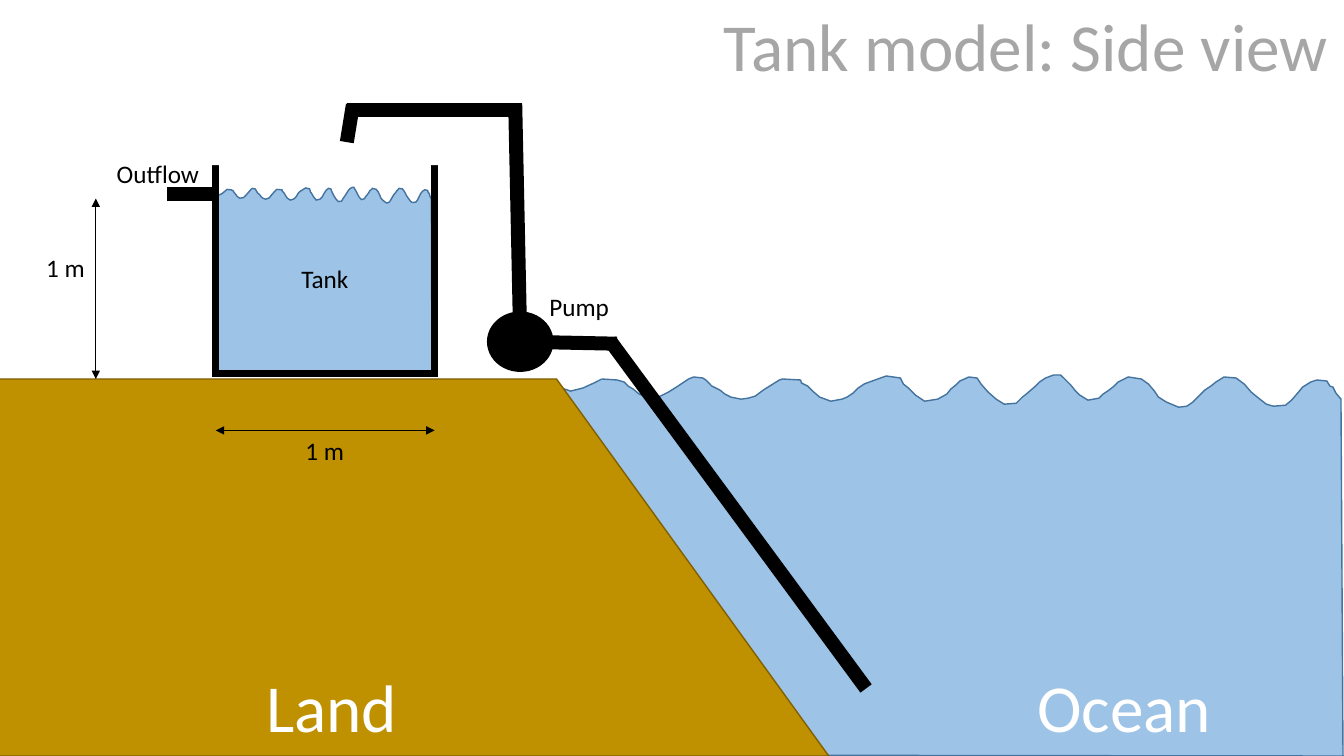
from lxml import etree
from pptx import Presentation
from pptx.dml.color import RGBColor
from pptx.enum.shapes import MSO_CONNECTOR, MSO_SHAPE
from pptx.oxml.ns import qn
from pptx.util import Inches, Pt

RECT, OVAL = MSO_SHAPE.RECTANGLE, MSO_SHAPE.OVAL
STRAIGHT = MSO_CONNECTOR.STRAIGHT
BLACK, WHITE, GREY = "000000", "FFFFFF", "A6A6A6"
WATER, SHORE = "9DC3E6", "43739E"
EARTH, EDGE = "BF9000", "806000"

# Water outline in ocean inches; the tank water is the same outline, scaled
WATER_BOX = (5.49, 3.72, 7.85, 3.78)
TANK_BOX = (2.12, 1.86, 2.17, 1.83)
WAVES = [
    (13.34, 7.5), (5.49, 7.49), (5.5, 3.83), (5.57, 3.85), (5.66, 3.88),
    (5.78, 3.85), (5.89, 3.8), (5.97, 3.76), (6.12, 3.77), (6.19, 3.79),
    (6.23, 3.83), (6.28, 3.86), (6.34, 3.91), (6.42, 3.94), (6.55, 3.93),
    (6.63, 3.89), (6.74, 3.82), (6.83, 3.76), (6.88, 3.74), (6.97, 3.75),
    (7.0, 3.77), (7.06, 3.83), (7.14, 3.87), (7.19, 3.91), (7.25, 3.94),
    (7.35, 3.96), (7.42, 3.95), (7.49, 3.93), (7.57, 3.87), (7.65, 3.82),
    (7.73, 3.77), (7.76, 3.76), (7.94, 3.77), (7.95, 3.8), (8.01, 3.83),
    (8.06, 3.88), (8.13, 3.94), (8.24, 3.98), (8.35, 3.96), (8.4, 3.94),
    (8.46, 3.9), (8.51, 3.85), (8.57, 3.81), (8.65, 3.78), (8.79, 3.73),
    (8.93, 3.75), (8.96, 3.81), (9.01, 3.85), (9.08, 3.92), (9.17, 3.98),
    (9.3, 3.96), (9.39, 3.91), (9.43, 3.86), (9.48, 3.82), (9.52, 3.78),
    (9.61, 3.74), (9.69, 3.75), (9.73, 3.81), (9.8, 3.89), (9.88, 3.96),
    (9.96, 4.01), (10.08, 4.0), (10.14, 3.94), (10.19, 3.9), (10.27, 3.83),
    (10.31, 3.79), (10.37, 3.75), (10.45, 3.72), (10.52, 3.72), (10.57, 3.77),
    (10.62, 3.82), (10.66, 3.87), (10.71, 3.92), (10.79, 3.97), (10.9, 3.95),
    (10.94, 3.91), (11.0, 3.87), (11.05, 3.83), (11.09, 3.79), (11.19, 3.74),
    (11.32, 3.76), (11.39, 3.81), (11.45, 3.88), (11.49, 3.94), (11.57, 3.99),
    (11.69, 4.04), (11.77, 4.03), (11.83, 3.99), (11.9, 3.92), (11.95, 3.87),
    (12.01, 3.83), (12.06, 3.79), (12.14, 3.74), (12.26, 3.75), (12.34, 3.81),
    (12.41, 3.89), (12.47, 3.94), (12.56, 4.01), (12.63, 4.03), (12.75, 4.02),
    (12.81, 3.97), (12.87, 3.9), (12.92, 3.84), (13.0, 3.79), (13.06, 3.77),
    (13.16, 3.78), (13.19, 3.83), (13.22, 3.84), (13.25, 3.9), (13.3, 3.96),
    (13.32, 7.5),
]
LAND = [(-0.02, 3.76), (5.52, 3.76), (8.22, 7.5), (-0.02, 7.5)]

# kind, box, fill, line colour, line width
PARTS = [
    (RECT, (2.14, 1.49, 2.17, 2.22), None, BLACK, 5),   # tank wall
    (RECT, (1.86, 1.3, 2.72, 0.34), WHITE, None, 0),    # hides tank top
    (RECT, (1.66, 1.86, 0.45, 0.13), BLACK, BLACK, 1),  # outflow
    (OVAL, (4.83, 3.09, 0.66, 0.6), BLACK, None, 0),    # pump
]
PIPES = [
    (5.16, 3.39, 6.12, 3.41), (6.05, 3.38, 8.59, 6.83),
    (5.16, 3.38, 5.11, 1.03), (5.18, 1.09, 3.44, 1.09),
    (3.5, 1.04, 3.44, 1.41),
]
SPANS = [(2.14, 4.27, 4.31, 4.27), (0.95, 3.76, 0.95, 1.97)]
LABELS = [
    ("1 m", (2.93, 4.27, 0.59, 0.4), 18, BLACK),
    ("1 m", (0.36, 2.45, 0.59, 0.4), 18, BLACK),
    ("Pump", (5.35, 2.84, 0.8, 0.4), 18, BLACK),
    ("Outflow", (1.06, 1.52, 1.03, 0.4), 18, BLACK),
    ("Land", (2.54, 6.55, 1.51, 0.91), 48, WHITE),
    ("Ocean", (10.19, 6.55, 1.94, 0.91), 48, WHITE),
    ("Tank model: Side view", (7.08, -0.01, 6.26, 0.91), 48, GREY),
    ("Tank", (2.89, 2.56, 0.67, 0.4), 18, BLACK),
]


def tint(fmt, color):
    fmt.solid()
    fmt.fore_color.rgb = RGBColor.from_string(color)


def paint(shape, fill, line, width):
    shape.shadow.inherit = False
    if fill:
        tint(shape.fill, fill)
    else:
        shape.fill.background()
    if line:
        tint(shape.line.fill, line)
        shape.line.width = Pt(width)
        etree.SubElement(shape.line._get_or_add_ln(), qn("a:miter"), lim="800000")
    else:
        shape.line.fill.background()


def outline(points, fill, line):
    pts = [(Inches(x), Inches(y)) for x, y in points]
    form = shapes.build_freeform(*pts[0], scale=1.0)
    form.add_line_segments(pts[1:], close=True)
    paint(form.convert_to_shape(), fill, line, 1)


def draw_line(ends, width, arrows=False):
    link = shapes.add_connector(STRAIGHT, *map(Inches, ends))
    tint(link.line.fill, BLACK)
    link.line.width = Pt(width)
    if arrows:
        for end in ("a:headEnd", "a:tailEnd"):
            etree.SubElement(link.line._get_or_add_ln(), qn(end), type="triangle")
    etree.SubElement(link._element.spPr, qn("a:effectLst"))


def fit(points, old, new):
    x0, y0, w0, h0 = old
    x1, y1, w1, h1 = new
    return [(x1 + (x - x0) * w1 / w0, y1 + (y - y0) * h1 / h0) for x, y in points]


deck = Presentation()
deck.slide_width, deck.slide_height = Inches(13.33), Inches(7.5)
shapes = deck.slides.add_slide(deck.slide_layouts[6]).shapes

# Ocean, land and tank water
outline(WAVES, WATER, SHORE)
outline(LAND, EARTH, EDGE)
outline(fit(WAVES, WATER_BOX, TANK_BOX), WATER, SHORE)

# Tank, outflow and pump
for kind, box, fill, line, width in PARTS:
    paint(shapes.add_shape(kind, *map(Inches, box)), fill, line, width)

# Pipes and size arrows
for ends in PIPES:
    draw_line(ends, 10)
for ends in SPANS:
    draw_line(ends, 0.5, arrows=True)

# Labels
for text, box, size, color in LABELS:
    frame = shapes.add_textbox(*map(Inches, box)).text_frame
    frame.word_wrap = False
    para = frame.paragraphs[0]
    para.text = text
    para.font.name = "Calibri"
    para.font.size = Pt(size)
    tint(para.font.fill, color)

deck.save("out.pptx")
